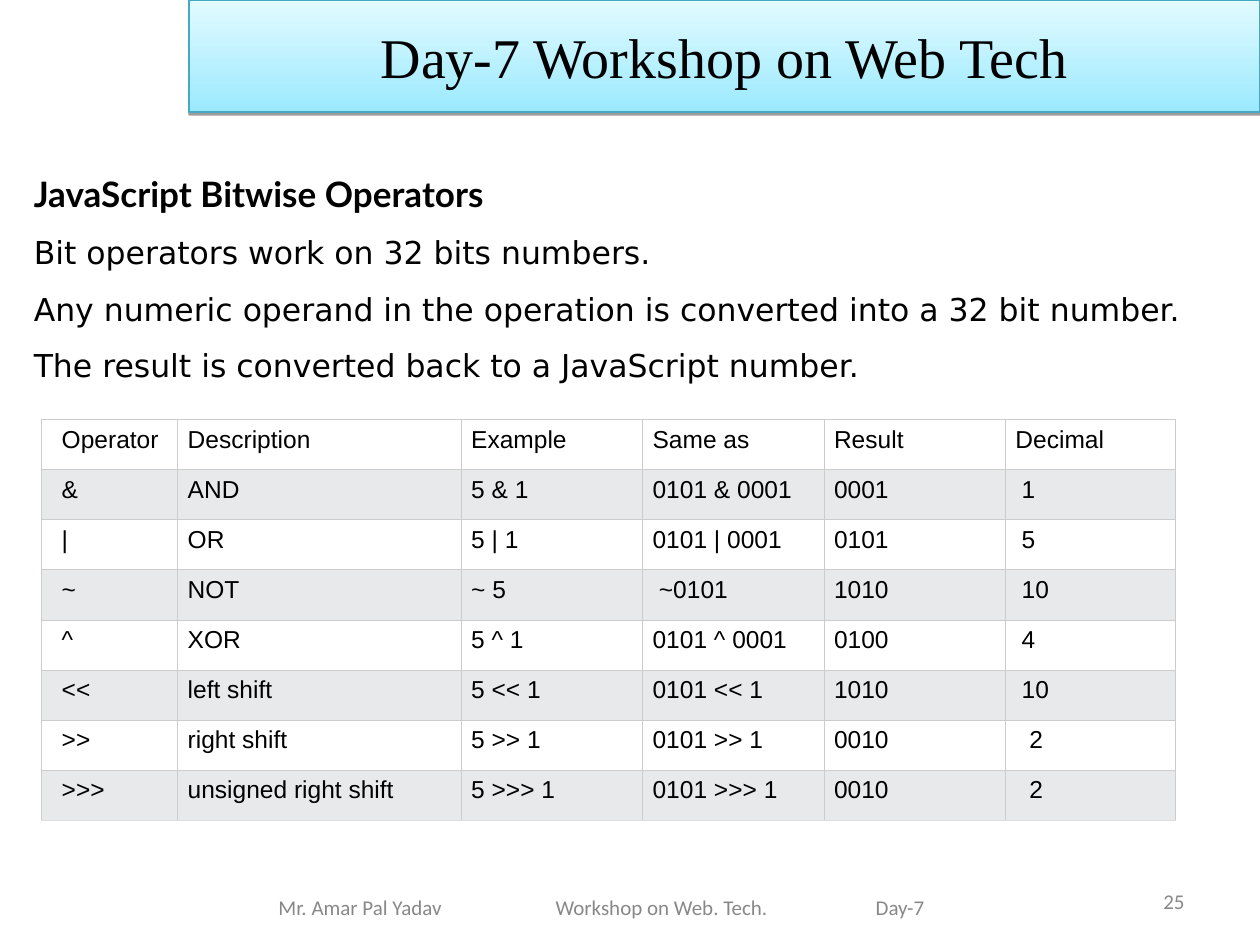
import pptx
import pptx.dml.color
import pptx.enum.shapes
import pptx.enum.text
import pptx.oxml
import pptx.oxml.ns
import pptx.util
from dataclasses import dataclass

TITLE = "Day-7 Workshop on Web Tech"
HEADING = "JavaScript Bitwise Operators"
BODY = [
    "Bit operators work on 32 bits numbers.",
    "Any numeric operand in the operation is converted into a 32 bit number. "
    "The result is converted back to a JavaScript number.",
]
OPERATORS = [
    ("Operator", "Description", "Example", "Same as", "Result", "Decimal"),
    ("&", "AND", "5 & 1", "0101 & 0001", "0001", "1"),
    ("|", "OR", "5 | 1", "0101 | 0001", "0101", "5"),
    ("~", "NOT", "~ 5", "~0101", "1010", "10"),
    ("^", "XOR", "5 ^ 1", "0101 ^ 0001", "0100", "4"),
    ("<<", "left shift", "5 << 1", "0101 << 1", "1010", "10"),
    (">>", "right shift", "5 >> 1", "0101 >> 1", "0010", "2"),
    (">>>", "unsigned right shift", "5 >>> 1", "0101 >>> 1", "0010", "2"),
]
COLUMN_WIDTHS = [1.08, 2.25, 1.44, 1.44, 1.44, 1.35]
TABLE_HEIGHT = 3.18
CELL_INSET = 0.08
EXTRA_INDENT = {(r, 5): 0.05 for r in range(1, 6)}
EXTRA_INDENT.update({(6, 5): 0.11, (7, 5): 0.11, (3, 3): 0.05})
EXTRA_INDENT.update({(r, 0): 0.08 for r in range(len(OPERATORS))})
FOOTER = ["Mr. Amar Pal Yadav", "Workshop on Web. Tech.", "Day-7"]
FOOTER_TABS = [2.2, 4.74]
PAGE_NUMBER = "25"


@dataclass(frozen=True)
class Theme:
    text: str = "000000"
    muted: str = "888888"
    banner_low: str = "9BE9FF"
    banner_high: str = "E2FBFF"
    banner_line: str = "45A9C4"
    row_fills: tuple = ("FFFFFF", "E7E9EB")
    border: str = "CCCCCC"
    last_border: str = "DDDDDD"
    title_font: tuple = ("Times New Roman", 32)
    heading_font: tuple = ("Lato", 20)
    body_font: tuple = ("DejaVu Sans", 18)
    table_font: tuple = ("Arial", 14)
    footer_font: tuple = ("Calibri", 12)


THEME = Theme()
Inches = pptx.util.Inches
ALIGN = pptx.enum.text.PP_ALIGN
ANCHOR = pptx.enum.text.MSO_ANCHOR
NS = pptx.oxml.ns.nsdecls("a")


def rgb(value):
    return pptx.dml.color.RGBColor.from_string(value)


def add_run(p, text, font, color=THEME.text, bold=False):
    r = p.add_run()
    r.text = text
    r.font.name, size = font
    r.font.size = pptx.util.Pt(size)
    r.font.bold = bold
    r.font.color.rgb = rgb(color)


def add_text_box(s, box, anchor=ANCHOR.TOP):
    tf = s.shapes.add_textbox(*map(Inches, box)).text_frame
    tf.word_wrap = True
    tf.vertical_anchor = anchor
    return tf


def add_banner(s):
    sp = s.shapes.add_shape(pptx.enum.shapes.MSO_SHAPE.RECTANGLE,
                            *map(Inches, (1.5, 0, 8.5, 0.89)))
    sp.shadow.inherit = False
    sp.fill.gradient()
    sp.fill.gradient_angle = 90
    for stop, position, color in zip(sp.fill.gradient_stops, (0, 1),
                                     (THEME.banner_low, THEME.banner_high)):
        stop.position = position
        stop.color.rgb = rgb(color)
    sp.line.color.rgb = rgb(THEME.banner_line)
    sp.line.width = pptx.util.Pt(0.75)
    effects = sp._element.spPr.find(pptx.oxml.ns.qn("a:effectLst"))
    effects.append(pptx.oxml.parse_xml(
        f'<a:outerShdw {NS} blurRad="0" dist="{pptx.util.Pt(1.6)}" dir="5400000" '
        'rotWithShape="0"><a:srgbClr val="000000"><a:alpha val="38000"/>'
        '</a:srgbClr></a:outerShdw>'))
    tf = sp.text_frame
    tf.vertical_anchor = ANCHOR.MIDDLE
    p = tf.paragraphs[0]
    p.alignment = ALIGN.CENTER
    add_run(p, TITLE, THEME.title_font)


def add_body(s):
    tf = add_text_box(s, (0.17, 1.15, 9.33, 1.95))
    p = tf.paragraphs[0]
    p.line_spacing = 1.5
    add_run(p, HEADING, THEME.heading_font, bold=True)
    for text in BODY:
        p = tf.add_paragraph()
        p.line_spacing = 1.5
        add_run(p, text, THEME.body_font)


def set_borders(cell, bottom):
    tcPr = cell._tc.get_or_add_tcPr()
    for side in "LRTB":
        color = bottom if side == "B" else THEME.border
        tcPr.append(pptx.oxml.parse_xml(
            f'<a:ln{side} {NS} w="{pptx.util.Pt(0.34)}"><a:solidFill>'
            f'<a:srgbClr val="{color}"/></a:solidFill></a:ln{side}>'))


def add_operator_table(s):
    rows, cols = len(OPERATORS), len(COLUMN_WIDTHS)
    table = s.shapes.add_table(rows, cols, Inches(0.33), Inches(3.33),
                               Inches(sum(COLUMN_WIDTHS)), Inches(TABLE_HEIGHT)).table
    for column, width in zip(table.columns, COLUMN_WIDTHS):
        column.width = Inches(width)
    for i, values in enumerate(OPERATORS):
        table.rows[i].height = Inches(TABLE_HEIGHT / rows)
        bottom = THEME.last_border if i == rows - 1 else THEME.border
        for j, text in enumerate(values):
            cell = table.cell(i, j)
            cell.margin_left = Inches(CELL_INSET + EXTRA_INDENT.get((i, j), 0))
            cell.margin_right = Inches(CELL_INSET)
            set_borders(cell, bottom)
            cell.fill.solid()
            cell.fill.fore_color.rgb = rgb(THEME.row_fills[i % 2])
            add_run(cell.text_frame.paragraphs[0], text, THEME.table_font)


def add_footer(s):
    tf = add_text_box(s, (1.4, 7, 6.77, 0.4), ANCHOR.MIDDLE)
    tf.margin_left = Inches(0.81)
    tf.margin_right = 0
    p = tf.paragraphs[0]
    stops = "".join(f'<a:tab pos="{Inches(x)}" algn="l"/>' for x in FOOTER_TABS)
    p._p.get_or_add_pPr().append(
        pptx.oxml.parse_xml(f"<a:tabLst {NS}>{stops}</a:tabLst>"))
    add_run(p, "\t".join(FOOTER), THEME.footer_font, THEME.muted)

    tf = add_text_box(s, (7.17, 6.95, 2.33, 0.4), ANCHOR.MIDDLE)
    p = tf.paragraphs[0]
    p.alignment = ALIGN.RIGHT
    add_run(p, PAGE_NUMBER, THEME.footer_font, THEME.muted)


def main():
    prs = pptx.Presentation()
    prs.slide_width, prs.slide_height = Inches(10), Inches(7.5)
    s = prs.slides.add_slide(prs.slide_layouts[6])
    add_banner(s)
    add_body(s)
    add_operator_table(s)
    add_footer(s)
    prs.save("out.pptx")


if __name__ == "__main__":
    main()
